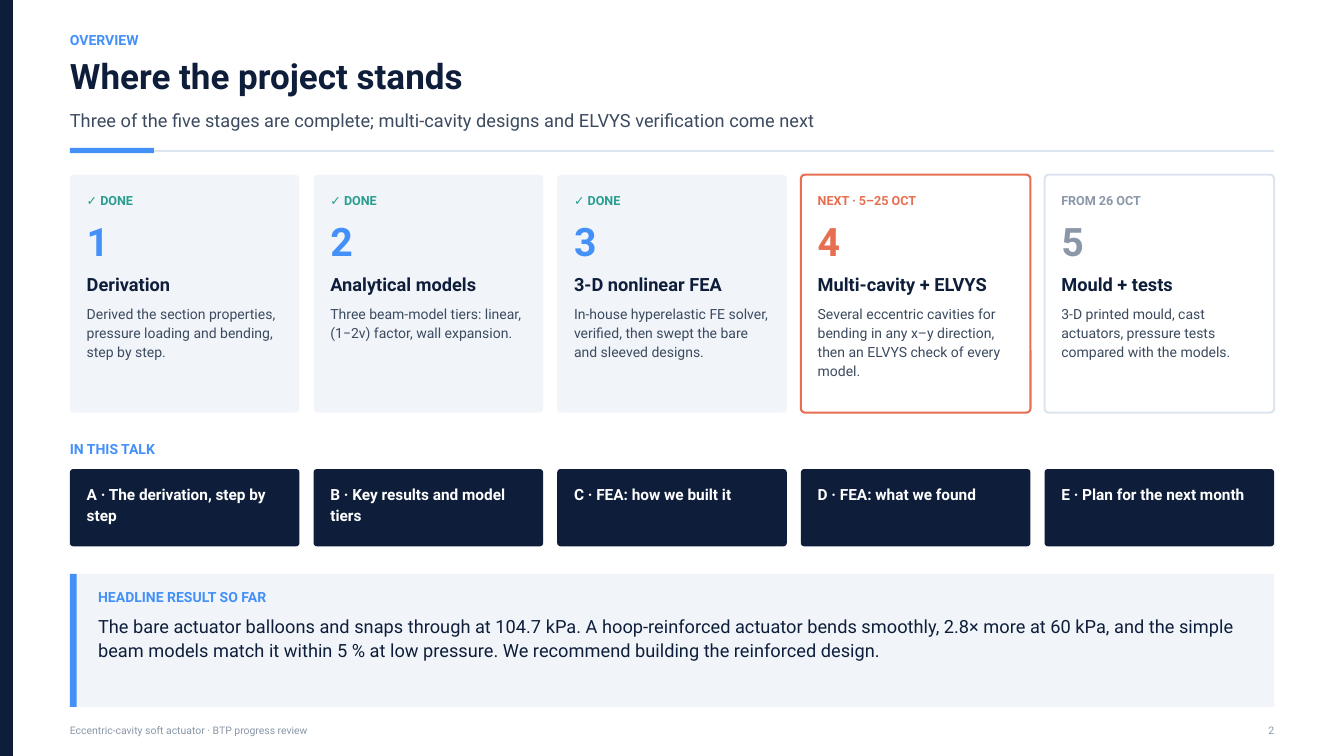
"""Build the project overview slide with stage cards, agenda and headline result."""
from dataclasses import dataclass

from pptx import Presentation
from pptx.dml.color import RGBColor
from pptx.enum import shapes, text
from pptx.util import Inches, Pt

FONT = "Roboto"
NAVY, BLUE, SLATE, GREY = "0E1E3A", "4390F8", "3B4A5E", "8A97A8"
TEAL, CORAL, PALE, RULE, WHITE = "2A9D8F", "E76F51", "F1F5FA", "DCE5EF", "FFFFFF"

LEFT, WIDTH = 1.04, 17.92
GAP, PAD = 0.21, 0.25
COLUMNS = 5
CARD_W = (WIDTH - GAP * (COLUMNS - 1)) / COLUMNS


@dataclass
class Style:
    size: float
    color: str
    bold: bool = False
    spacing: float = 1.4


@dataclass
class Stage:
    status: str
    name: str
    detail: str
    status_color: str = TEAL
    number_color: str = BLUE
    fill: str = PALE
    line: str | None = None


LABEL = Style(15, BLUE, True)
TITLE = Style(37.5, NAVY, True)
SUBTITLE = Style(19.5, SLATE)
STAGE_NAME = Style(19.5, NAVY, True)
DETAIL = Style(15, SLATE, spacing=1.35)
TOPIC = Style(16.5, WHITE, True, 1.35)
RESULT = Style(19.5, NAVY, spacing=1.35)
FOOTER = Style(11.2, GREY)

STAGES = [
    Stage("✓ DONE", "Derivation",
          "Derived the section properties, pressure loading and bending, step by step."),
    Stage("✓ DONE", "Analytical models",
          "Three beam-model tiers: linear, (1−2ν) factor, wall expansion."),
    Stage("✓ DONE", "3-D nonlinear FEA",
          "In-house hyperelastic FE solver, verified, then swept the bare and sleeved designs."),
    Stage("NEXT · 5–25 OCT", "Multi-cavity + ELVYS",
          "Several eccentric cavities for bending in any x–y direction, "
          "then an ELVYS check of every model.",
          CORAL, CORAL, WHITE, CORAL),
    Stage("FROM 26 OCT", "Mould + tests",
          "3-D printed mould, cast actuators, pressure tests compared with the models.",
          GREY, GREY, WHITE, RULE),
]
TOPICS = [
    "A · The derivation, step by step",
    "B · Key results and model tiers",
    "C · FEA: how we built it",
    "D · FEA: what we found",
    "E · Plan for the next month",
]


def rgb(color: str) -> RGBColor:
    return RGBColor.from_string(color)


def column_x(index: int) -> float:
    return LEFT + index * (CARD_W + GAP)


def write(sp, content: str, style: Style, align=text.PP_ALIGN.LEFT) -> None:
    tf = sp.text_frame
    tf.word_wrap = True
    tf.auto_size = text.MSO_AUTO_SIZE.NONE
    tf.vertical_anchor = text.MSO_ANCHOR.TOP
    tf.margin_left = tf.margin_right = tf.margin_top = tf.margin_bottom = 0
    p = tf.paragraphs[0]
    p.alignment = align
    p.line_spacing = Pt(style.size * style.spacing)
    r = p.add_run()
    r.text = content
    r.font.name = FONT
    r.font.size = Pt(style.size)
    r.font.bold = style.bold
    r.font.color.rgb = rgb(style.color)


def add_text(s, x: float, y: float, w: float, h: float, content: str,
             style: Style, align=text.PP_ALIGN.LEFT) -> None:
    sp = s.shapes.add_textbox(Inches(x), Inches(y), Inches(w), Inches(h))
    write(sp, content, style, align)


def add_block(s, x: float, y: float, w: float, h: float, fill: str,
              radius: float = 0, line: str | None = None) -> None:
    kind = shapes.MSO_SHAPE.ROUNDED_RECTANGLE if radius else shapes.MSO_SHAPE.RECTANGLE
    sp = s.shapes.add_shape(kind, Inches(x), Inches(y), Inches(w), Inches(h))
    sp.shadow.inherit = False
    if radius:
        sp.adjustments[0] = radius / min(w, h)
    sp.fill.solid()
    sp.fill.fore_color.rgb = rgb(fill)
    if line:
        sp.line.color.rgb = rgb(line)
        sp.line.width = Pt(2.25)
    else:
        sp.line.fill.background()


def add_header(s) -> None:
    add_block(s, 0, 0, 0.19, 11.25, NAVY)
    add_text(s, LEFT, 0.43, 15.62, 0.3, "OVERVIEW", LABEL)
    title = s.shapes.title
    title.left, title.top = Inches(LEFT), Inches(0.7)
    title.width, title.height = Inches(WIDTH), Inches(0.74)
    write(title, "Where the project stands", TITLE)
    add_text(s, LEFT, 1.58, WIDTH, 0.38,
             "Three of the five stages are complete; multi-cavity designs "
             "and ELVYS verification come next", SUBTITLE)
    add_block(s, LEFT, 2.23, WIDTH, 0.03, RULE)
    add_block(s, LEFT, 2.2, 1.25, 0.08, BLUE)


def add_stage(s, index: int, stage: Stage) -> None:
    x, w = column_x(index), CARD_W - 2 * PAD
    add_block(s, x, 2.6, CARD_W, 3.54, stage.fill, 0.06, stage.line)
    x += PAD
    add_text(s, x, 2.83, w, 0.26, stage.status, Style(13.5, stage.status_color, True))
    add_text(s, x, 3.12, 1.04, 0.8, str(index + 1), Style(42, stage.number_color, True))
    add_text(s, x, 4.02, w, 0.38, stage.name, STAGE_NAME)
    add_text(s, x, 4.52, w, 1.14, stage.detail, DETAIL)


def add_topic(s, index: int, topic: str) -> None:
    x = column_x(index)
    add_block(s, x, 6.98, CARD_W, 1.15, NAVY, 0.05)
    add_text(s, x + PAD, 7.18, CARD_W - 2 * PAD, 0.62, topic, TOPIC)


def add_headline(s) -> None:
    add_block(s, LEFT, 8.54, WIDTH, 1.98, PALE, 0.01)
    add_block(s, LEFT, 8.54, 0.1, 1.98, BLUE)
    add_text(s, 1.46, 8.72, 8.33, 0.3, "HEADLINE RESULT SO FAR", LABEL)
    add_text(s, 1.46, 9.11, 17.19, 0.74,
             "The bare actuator balloons and snaps through at 104.7 kPa. "
             "A hoop-reinforced actuator bends smoothly, 2.8× more at 60 kPa, "
             "and the simple beam models match it within 5 % at low pressure. "
             "We recommend building the reinforced design.", RESULT)


def add_footer(s) -> None:
    add_text(s, LEFT, 10.74, 9.38, 0.22,
             "Eccentric-cavity soft actuator · BTP progress review", FOOTER)
    add_text(s, 17.92, 10.74, 1.04, 0.22, "2", FOOTER, text.PP_ALIGN.RIGHT)


def main() -> None:
    prs = Presentation()
    prs.slide_width, prs.slide_height = Inches(20), Inches(11.25)
    s = prs.slides.add_slide(prs.slide_layouts[5])
    add_header(s)
    for index, stage in enumerate(STAGES):
        add_stage(s, index, stage)
    add_text(s, LEFT, 6.51, 6.25, 0.3, "IN THIS TALK", LABEL)
    for index, topic in enumerate(TOPICS):
        add_topic(s, index, topic)
    add_headline(s)
    add_footer(s)
    prs.save("out.pptx")


if __name__ == "__main__":
    main()
